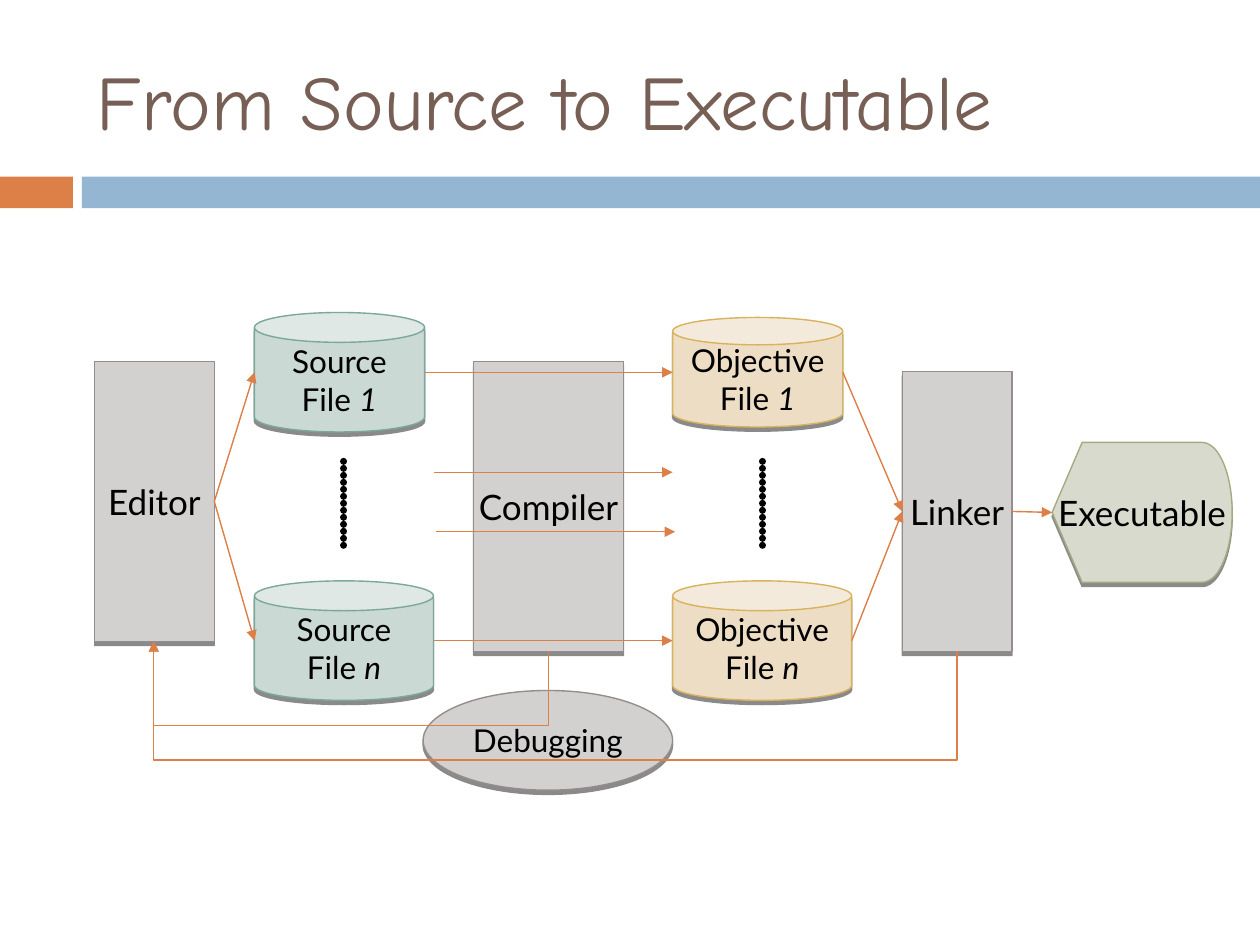
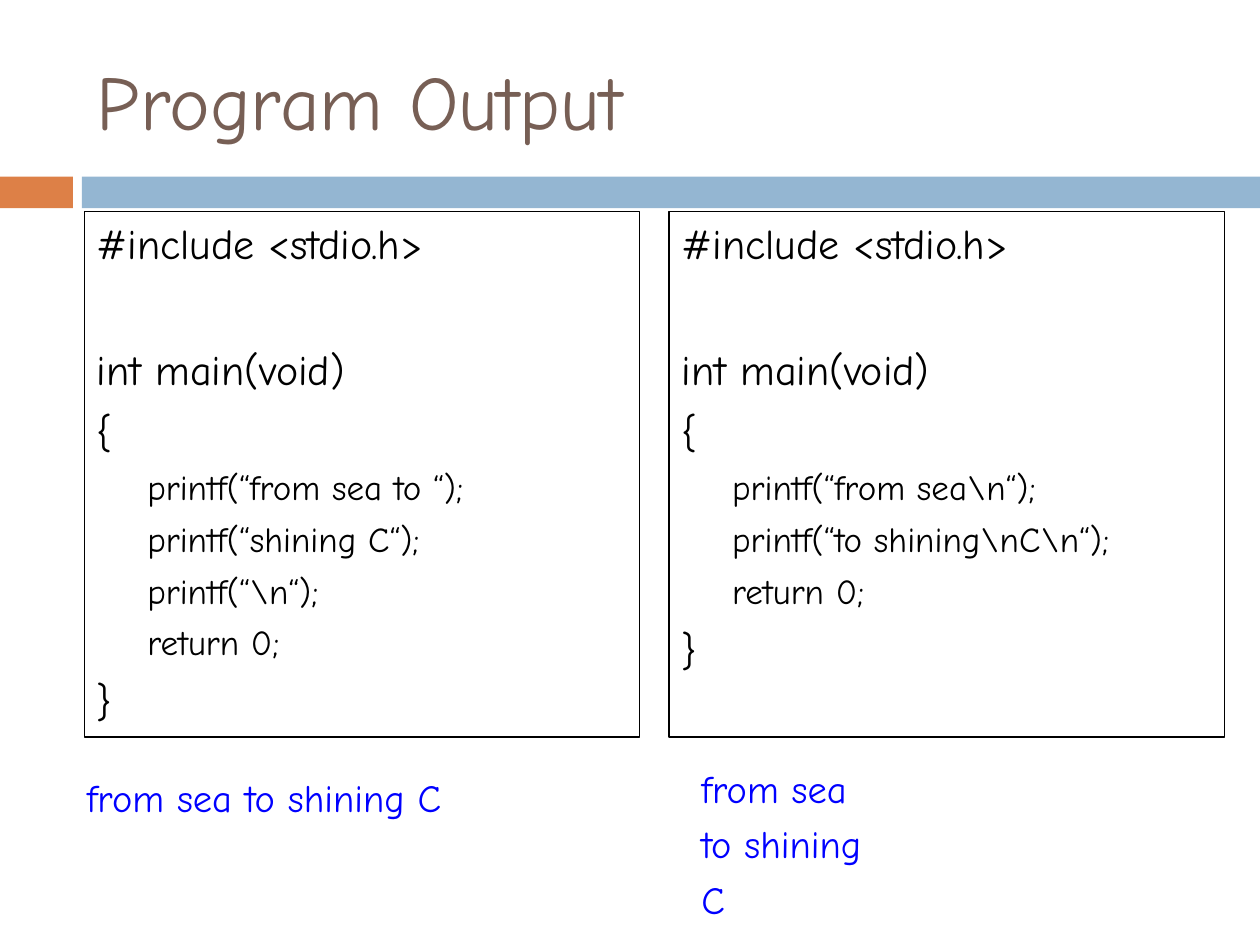
from dataclasses import dataclass

from lxml import etree
from pptx import Presentation, util as u
from pptx.dml.color import RGBColor
from pptx.enum import shapes, text
from pptx.oxml.ns import qn

ORANGE = RGBColor(0xDD, 0x80, 0x47)
BLUE = RGBColor(0x94, 0xB6, 0xD2)
BROWN = RGBColor(0x77, 0x5F, 0x55)
BLACK = RGBColor(0, 0, 0)
OUTPUT_BLUE = RGBColor(0, 0, 0xFF)
GREY_FILL, GREY_LINE = RGBColor(0xD3, 0xD0, 0xD0), RGBColor(0x96, 0x8C, 0x8C)
TEAL_FILL, TEAL_LINE = RGBColor(0xCB, 0xD9, 0xD5), RGBColor(0x7B, 0xA7, 0x9D)
SAND_FILL, SAND_LINE = RGBColor(0xED, 0xDD, 0xC4), RGBColor(0xD8, 0xB2, 0x5C)
OLIVE_FILL, OLIVE_LINE = RGBColor(0xD8, 0xDA, 0xCD), RGBColor(0xA5, 0xAB, 0x81)

HAND_FONT = "Comic Neue"
NODE_FONT = "Lato"
THIN = 0.79
TOP, LEFT, BOTTOM, RIGHT = range(4)
Kind = shapes.MSO_SHAPE


@dataclass
class Node:
    label: str
    left: float
    top: float
    width: float
    height: float
    kind: Kind = Kind.RECTANGLE
    fill: RGBColor = GREY_FILL
    line: RGBColor = GREY_LINE
    size: float = 20
    index: str = ""

    def side(self, site: int) -> tuple[float, float]:
        """Middle of one side, numbered like a rectangle's connection sites."""
        across, down = [(0.5, 0), (0, 0.5), (0.5, 1), (1, 0.5)][site]
        return self.left + across * self.width, self.top + down * self.height


@dataclass
class Listing:
    left: float
    statements: list[str]
    output_left: float
    output_top: float
    output_height: float
    output: list[str]


SOURCE = dict(label="Source\nFile ", kind=Kind.CAN, fill=TEAL_FILL, line=TEAL_LINE, size=18)
OBJECTIVE = dict(label="Objective\nFile ", kind=Kind.CAN, fill=SAND_FILL, line=SAND_LINE, size=18)

DEBUGGING = Node("Debugging", 8.53, 13.92, 5.03, 2.01, Kind.OVAL, size=18)
EDITOR = Node("Editor", 1.91, 7.29, 2.41, 5.64)
SOURCE_1 = Node(left=5.13, top=6.3, width=3.43, height=2.41, index="1", **SOURCE)
SOURCE_N = Node(left=5.13, top=11.71, width=3.61, height=2.41, index="n", **SOURCE)
OBJECTIVE_1 = Node(left=13.56, top=6.4, width=3.43, height=2.21, index="1", **OBJECTIVE)
COMPILER = Node("Compiler", 9.55, 7.29, 3.02, 5.84)
OBJECTIVE_N = Node(left=13.56, top=11.71, width=3.61, height=2.41, index="n", **OBJECTIVE)
LINKER = Node("Linker", 18.19, 7.49, 2.21, 5.64)
EXECUTABLE = Node("Executable", 21.21, 8.92, 3.63, 2.82, Kind.FLOWCHART_DISPLAY,
                  OLIVE_FILL, OLIVE_LINE)
NODES = [DEBUGGING, EDITOR, SOURCE_1, SOURCE_N, OBJECTIVE_1, COMPILER, OBJECTIVE_N,
         LINKER, EXECUTABLE]
LINKS = [(EDITOR, SOURCE_1), (EDITOR, SOURCE_N), (OBJECTIVE_1, LINKER),
         (OBJECTIVE_N, LINKER), (LINKER, EXECUTABLE),
         (SOURCE_1, OBJECTIVE_1), (SOURCE_N, OBJECTIVE_N)]

LISTINGS = [
    Listing(1.7, ["printf(“from sea to “);", "printf(“shining C“);", r"printf(“\n“);",
                  "return 0;"],
            1.5, 15.47, 1.19, ["from sea to shining C"]),
    Listing(13.49, [r"printf(“from sea\n“);", r"printf(“to shining\nC\n“);", "return 0;"],
            13.89, 15.29, 3.45, ["from sea", "to shining", "C"]),
]


def cm(*lengths: float) -> list[u.Cm]:
    return [u.Cm(length) for length in lengths]


def write(para, content: str, *, size: float, font: str = HAND_FONT,
          colour: RGBColor = BLACK, italic: bool = False, before: float = 0,
          align=text.PP_ALIGN.LEFT) -> None:
    """Add text to a paragraph; a newline becomes a line break."""
    para.alignment = align
    para.space_before = u.Pt(before)
    for number, line in enumerate(content.split("\n")):
        if number:
            para.add_line_break()
        span = para.add_run()
        span.text = line
        span.font.name, span.font.size = font, u.Pt(size)
        span.font.color.rgb = colour
        if italic:
            span.font.italic = True


def next_para(frame):
    """The frame's first paragraph while unused, then a new one."""
    first = frame.paragraphs[0]
    return frame.add_paragraph() if first.runs else first


def add_child(parent, tag: str, **attributes):
    return etree.SubElement(parent, qn(tag), attributes)


def add_page(deck, title: str):
    page = deck.slides.add_slide(deck.slide_layouts[5])
    for left, width, colour in [(0, 1.47, ORANGE), (1.65, 23.75, BLUE)]:
        band = page.shapes.add_shape(Kind.RECTANGLE, *cm(left, 3.56, width, 0.64))
        band.shadow.inherit = False
        band.fill.solid()
        band.fill.fore_color.rgb = colour
        band.line.fill.background()
    heading = page.shapes.title
    heading.left, heading.top, heading.width, heading.height = cm(1.7, 0.64, 22.66, 2.74)
    frame = heading.text_frame
    frame.auto_size = text.MSO_AUTO_SIZE.NONE
    frame.vertical_anchor = text.MSO_ANCHOR.MIDDLE
    write(frame.paragraphs[0], title, size=44, colour=BROWN)
    return page


def add_node(page, node: Node):
    box = page.shapes.add_shape(node.kind, *cm(node.left, node.top, node.width, node.height))
    box.fill.solid()
    box.fill.fore_color.rgb = node.fill
    box.line.color.rgb = node.line
    box.line.width = u.Pt(THIN)
    box.shadow.inherit = False
    effects = box.element.spPr.find(qn("a:effectLst"))
    shadow = add_child(effects, "a:outerShdw", dist=str(u.Pt(2.4)), dir="5400000",
                       rotWithShape="0")
    add_child(add_child(shadow, "a:srgbClr", val="000000"), "a:alpha", val="45000")
    frame = box.text_frame
    frame.word_wrap = False
    frame.vertical_anchor = text.MSO_ANCHOR.MIDDLE
    style = dict(size=node.size, font=NODE_FONT, align=text.PP_ALIGN.CENTER)
    write(frame.paragraphs[0], node.label, **style)
    if node.index:
        write(frame.paragraphs[0], node.index, italic=True, **style)
    return box


def add_line(page, start: tuple[float, float], end: tuple[float, float], *,
             kind=shapes.MSO_CONNECTOR.STRAIGHT, colour: RGBColor = ORANGE,
             width: float = THIN, dotted: bool = False):
    """Draw an arrow, or a plain line of round dots."""
    line = page.shapes.add_connector(kind, *cm(*start, *end))
    line.line.color.rgb = colour
    line.line.width = u.Pt(width)
    properties = line.element.spPr
    outline = properties.find(qn("a:ln"))
    if dotted:
        outline.set("cap", "rnd")
        add_child(add_child(outline, "a:custDash"), "a:ds", d="1000", sp="99000")
        add_child(outline, "a:round")
    else:
        add_child(outline, "a:tailEnd", type="triangle")
    add_child(properties, "a:effectLst")
    return line


def add_return_path(page, start: tuple[float, float], end: tuple[float, float],
                    lane: float) -> None:
    """Arrow going down to the lane, left along it and up to the end."""
    line = add_line(page, start, end, kind=shapes.MSO_CONNECTOR.ELBOW)
    span, rise = start[0] - end[0], start[1] - end[1]
    middle_x, middle_y = (start[0] + end[0]) / 2, (start[1] + end[1]) / 2
    line.left, line.top, line.width, line.height = cm(
        middle_x - rise / 2, middle_y - span / 2, rise, span)
    frame = line.element.spPr.find(qn("a:xfrm"))
    frame.attrib.pop("flipH", None)
    frame.set("flipV", "1")
    frame.set("rot", str(270 * 60000))
    guides = line.element.spPr.find(qn("a:prstGeom")).find(qn("a:avLst"))
    bend = round((start[1] - lane) / rise * 100000)
    add_child(guides, "a:gd", name="adj1", fmla=f"val {bend}")


def build_flow(deck) -> None:
    page = add_page(deck, "From Source to Executable")
    boxes = {id(node): add_node(page, node) for node in NODES}
    for x in (6.93, 15.37):
        add_line(page, (x, 9.3), (x, 11.13), colour=BLACK, width=4, dotted=True)
    for origin, target in LINKS:
        line = add_line(page, origin.side(RIGHT), target.side(LEFT))
        if origin.kind != Kind.CAN:
            line.begin_connect(boxes[id(origin)], RIGHT)
        if target.kind != Kind.CAN:
            line.end_connect(boxes[id(target)], LEFT)
    for x, y in [(8.74, 9.52), (8.79, 10.72)]:
        add_line(page, (x, y), (x + 4.82, y))
    for origin, lane in [(COMPILER, 14.63), (LINKER, 15.32)]:
        add_return_path(page, origin.side(BOTTOM), (3.1, EDITOR.top + EDITOR.height), lane)


def write_code(frame, line: str, *, nested: bool = False, before: float = 7) -> None:
    para = next_para(frame)
    margin, hanging = (1.78, -0.76) if nested else (0.89, -0.89)
    para.level = int(nested)
    write(para, line, size=20 if nested else 24, before=5.5 if nested else before)
    properties = para._p.get_or_add_pPr()
    properties.set("marL", str(u.Cm(margin)))
    properties.set("indent", str(u.Cm(hanging)))


def add_listing(page, listing: Listing) -> None:
    box = page.shapes.add_shape(Kind.RECTANGLE, *cm(listing.left, 4.27, 11.2, 10.59))
    box.shadow.inherit = False
    box.fill.background()
    box.line.color.rgb = BLACK
    box.line.width = u.Pt(0.75)
    frame = box.text_frame
    frame.word_wrap = True
    frame.vertical_anchor = text.MSO_ANCHOR.TOP
    write_code(frame, "#include <stdio.h>")
    write_code(frame, "int main(void)", before=42.7)
    write_code(frame, "{")
    for statement in listing.statements:
        write_code(frame, statement, nested=True)
    write_code(frame, "}")


def add_output(page, listing: Listing) -> None:
    box = page.shapes.add_textbox(
        *cm(listing.output_left, listing.output_top, 10.21, listing.output_height))
    frame = box.text_frame
    frame.word_wrap = True
    frame.auto_size = text.MSO_AUTO_SIZE.SHAPE_TO_FIT_TEXT
    for line in listing.output:
        write(next_para(frame), line, size=22, colour=OUTPUT_BLUE, before=5.5)


def build_output(deck) -> None:
    page = add_page(deck, "Program Output")
    for draw in (add_listing, add_output):
        for listing in LISTINGS:
            draw(page, listing)


def main() -> None:
    deck = Presentation()
    deck.slide_width, deck.slide_height = cm(25.4, 19.05)
    build_flow(deck)
    build_output(deck)
    deck.save("out.pptx")


if __name__ == "__main__":
    main()
